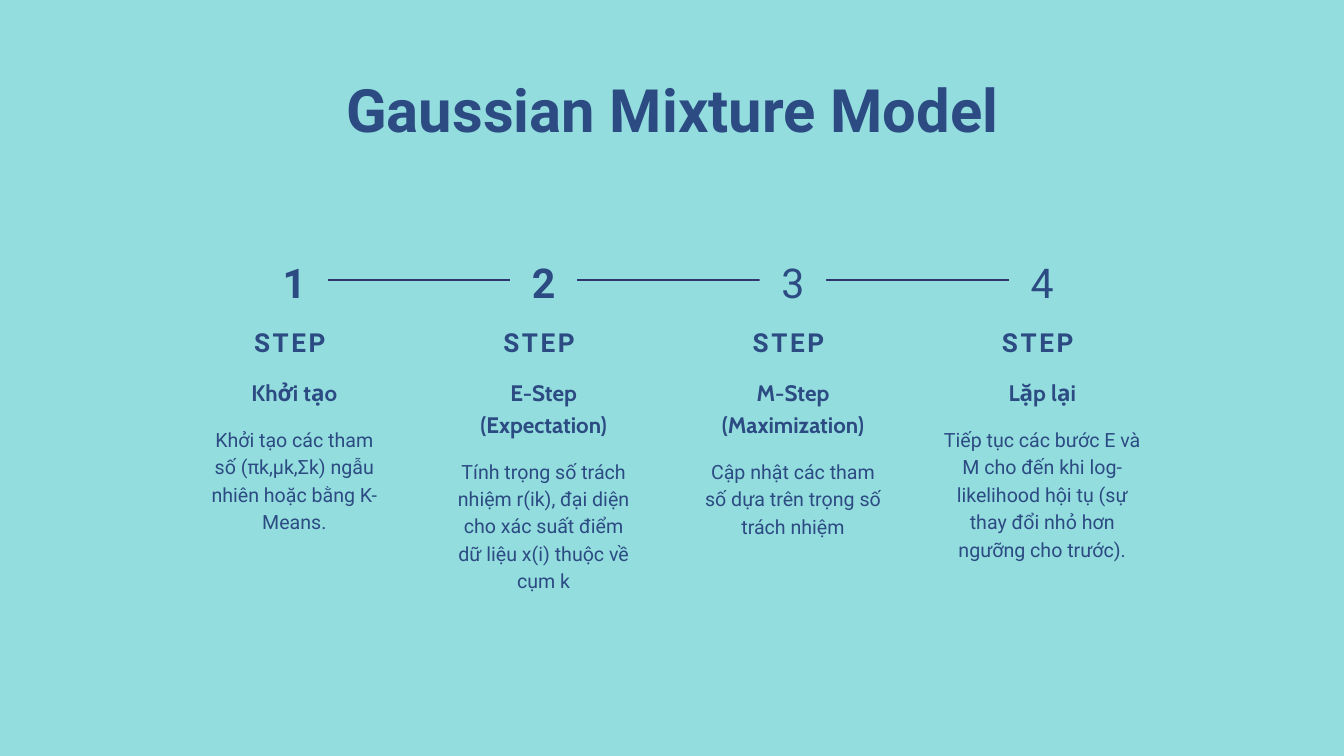
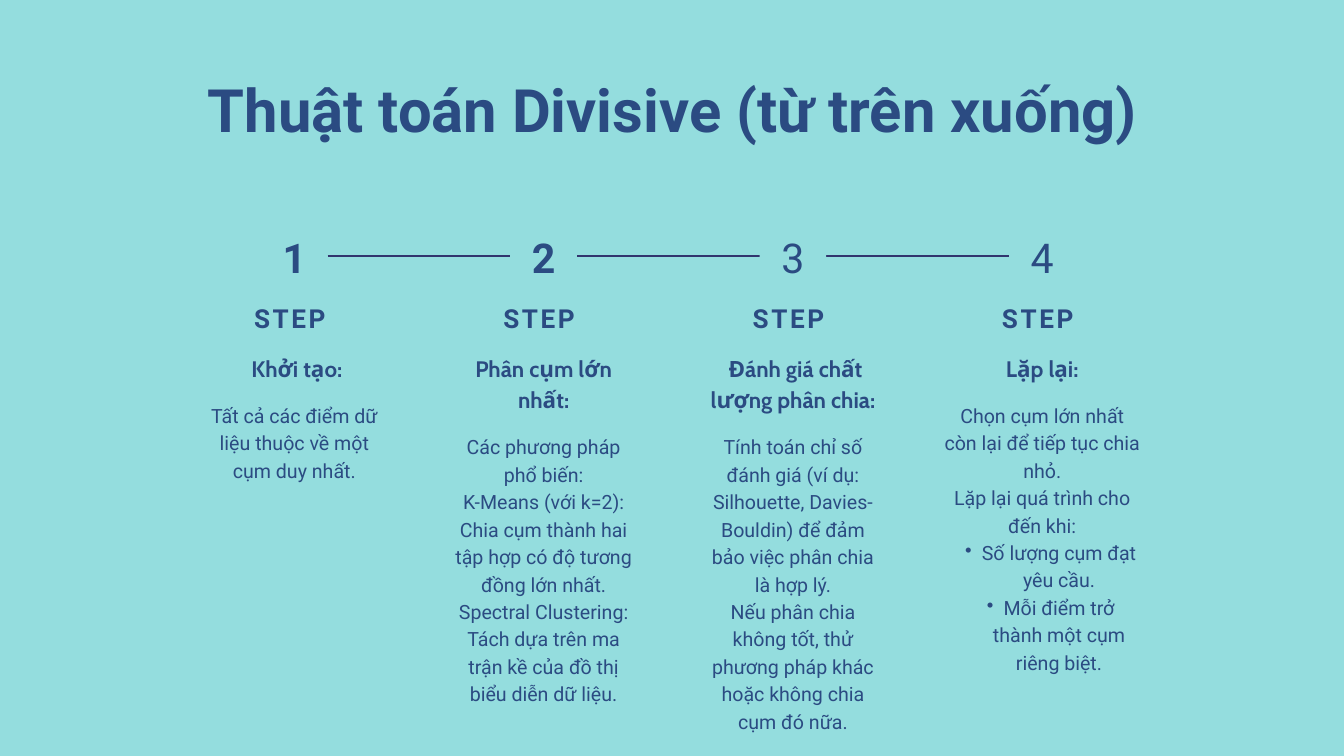
from lxml.etree import SubElement
from pptx import Presentation
from pptx.dml.color import RGBColor
from pptx.enum.shapes import MSO_CONNECTOR, MSO_SHAPE
from pptx.enum.text import MSO_ANCHOR, MSO_AUTO_SIZE, PP_ALIGN
from pptx.oxml.ns import qn
from pptx.util import Inches, Pt

BACKGROUND = RGBColor(0x94, 0xDD, 0xDE)
TEXT_BLUE = RGBColor(0x2B, 0x4B, 0x82)
LINE_BLUE = RGBColor(0x31, 0x35, 0x6E)

# Column grid: every column is centred under its number
FIRST_CENTER = 4.38
COLUMN_PITCH = 3.71
COLUMN_WIDTHS = (2.69, 2.63, 2.69, 2.93)
NUMBER_WIDTH = 0.99
BOLD_NUMBERS = (1, 2)
HEADING_LINE = 0.47
BULLET = "• "

# Each step: heading, heading lines, body height, body paragraphs
MIXTURE_STEPS = [
    ("Khởi tạo", 1, 1.6,
     ["Khởi tạo các tham số (πk,μk,Σk) ngẫu nhiên hoặc bằng K-Means."]),
    ("E-Step (Expectation)", 2, 2,
     ["Tính trọng số trách nhiệm r(ik), đại diện cho xác suất điểm dữ liệu "
      "x(i) thuộc về cụm k"]),
    ("M-Step (Maximization)", 2, 1.19,
     ["Cập nhật các tham số dựa trên trọng số trách nhiệm"]),
    ("Lặp lại", 1, 2,
     ["Tiếp tục các bước E và M cho đến khi log-likelihood hội tụ (sự thay "
      "đổi nhỏ hơn ngưỡng cho trước)."]),
]
DIVISIVE_STEPS = [
    (" Khởi tạo:", 1, 1.19,
     ["Tất cả các điểm dữ liệu thuộc về một cụm duy nhất."]),
    ("Phân cụm lớn nhất:", 2, 4.83,
     ["Các phương pháp phổ biến:",
      "K-Means (với k=2): Chia cụm thành hai tập hợp có độ tương đồng lớn nhất.",
      "Spectral Clustering: Tách dựa trên ma trận kề của đồ thị biểu diễn dữ liệu."]),
    (" Đánh giá chất lượng phân chia:", 2, 4.83,
     ["Tính toán chỉ số đánh giá (ví dụ: Silhouette, Davies-Bouldin) để đảm "
      "bảo việc phân chia là hợp lý.",
      "Nếu phân chia không tốt, thử phương pháp khác hoặc không chia cụm đó nữa."]),
    ("Lặp lại:", 1, 4.02,
     ["Chọn cụm lớn nhất còn lại để tiếp tục chia nhỏ.",
      "Lặp lại quá trình cho đến khi:",
      BULLET + "Số lượng cụm đạt yêu cầu.",
      BULLET + "Mỗi điểm trở thành một cụm riêng biệt."]),
]


def make_bullet(paragraph):
    paragraph.level = 1
    properties = paragraph._p.get_or_add_pPr()
    properties.set("marL", str(Inches(0.5)))
    properties.set("indent", str(Inches(-0.25)))
    SubElement(properties, qn("a:buChar")).set("char", BULLET.strip())


def add_text(slide, left, top, width, height, paragraphs, size, leading,
             font="Roboto", bold=False, tracking=0, anchor=MSO_ANCHOR.TOP):
    box = slide.shapes.add_textbox(Inches(left), Inches(top), Inches(width), Inches(height))
    frame = box.text_frame
    frame.word_wrap = True
    frame.auto_size = MSO_AUTO_SIZE.NONE
    frame.vertical_anchor = anchor
    frame.margin_left = frame.margin_right = frame.margin_top = frame.margin_bottom = 0
    for index, text in enumerate(paragraphs):
        paragraph = frame.paragraphs[0] if index == 0 else frame.add_paragraph()
        paragraph.text = text.removeprefix(BULLET)
        if text.startswith(BULLET):
            make_bullet(paragraph)
        paragraph.alignment = PP_ALIGN.CENTER
        paragraph.line_spacing = Pt(leading)
        paragraph.font.name = font
        paragraph.font.size = Pt(size)
        paragraph.font.bold = bold
        paragraph.font.color.rgb = TEXT_BLUE
        if tracking:
            character = paragraph._p.pPr.find(qn("a:defRPr"))
            character.set("spc", str(round(tracking * 100)))


def add_joining_line(slide, start, end, y):
    line = slide.shapes.add_connector(
        MSO_CONNECTOR.STRAIGHT, Inches(start), Inches(y), Inches(end), Inches(y))
    line.line.color.rgb = LINE_BLUE
    line.line.width = Pt(2.25)
    SubElement(line._element.spPr, qn("a:effectLst"))


def add_number(slide, number, center, top):
    left = center - NUMBER_WIDTH / 2
    if number > 1:
        plate = slide.shapes.add_shape(
            MSO_SHAPE.RECTANGLE, Inches(left), Inches(top + 0.09),
            Inches(NUMBER_WIDTH), Inches(0.97))
        plate.shadow.inherit = False
        plate.fill.solid()
        plate.fill.fore_color.rgb = BACKGROUND
        plate.line.fill.background()
    add_text(slide, left, top, NUMBER_WIDTH, 1.06, [str(number)], 44, 61.6,
             bold=number in BOLD_NUMBERS, tracking=7.5, anchor=MSO_ANCHOR.MIDDLE)


def add_step(slide, center, width, top, step):
    heading, heading_lines, body_height, body = step
    left = center - width / 2
    heading_top = top + 1.98
    heading_height = HEADING_LINE * heading_lines
    add_text(slide, left, top + 1.18, width, 0.51, ["STEP "], 28, 39.2,
             bold=True, tracking=2.8)
    add_text(slide, left, heading_top + heading_height + 0.26, width, body_height,
             body, 21, 29.4)
    add_text(slide, left, heading_top, width, heading_height - 0.04, [heading],
             24, 33.6, font="Cabin", bold=True)


def add_steps_slide(presentation, title, top, steps):
    slide = presentation.slides.add_slide(presentation.slide_layouts[6])
    slide.background.fill.solid()
    slide.background.fill.fore_color.rgb = BACKGROUND
    add_text(slide, 1.18, 1.22, 17.65, 0.97, [title], 64, 67.2, bold=True)

    # Lines between neighbouring numbers
    centers = [FIRST_CENTER + COLUMN_PITCH * index for index in range(len(steps))]
    for current, following in zip(centers, centers[1:]):
        add_joining_line(slide, current + NUMBER_WIDTH / 2,
                         following - NUMBER_WIDTH / 2, top + 0.57)

    # Numbered columns
    for number, (center, width, step) in enumerate(zip(centers, COLUMN_WIDTHS, steps), 1):
        add_number(slide, number, center, top)
        add_step(slide, center, width, top, step)


def main():
    presentation = Presentation()
    presentation.slide_width = Inches(20)
    presentation.slide_height = Inches(11.25)
    add_steps_slide(presentation, "Gaussian Mixture Model", 3.6, MIXTURE_STEPS)
    add_steps_slide(presentation, "Thuật toán Divisive (từ trên xuống)", 3.24, DIVISIVE_STEPS)
    presentation.save("out.pptx")


if __name__ == "__main__":
    main()
